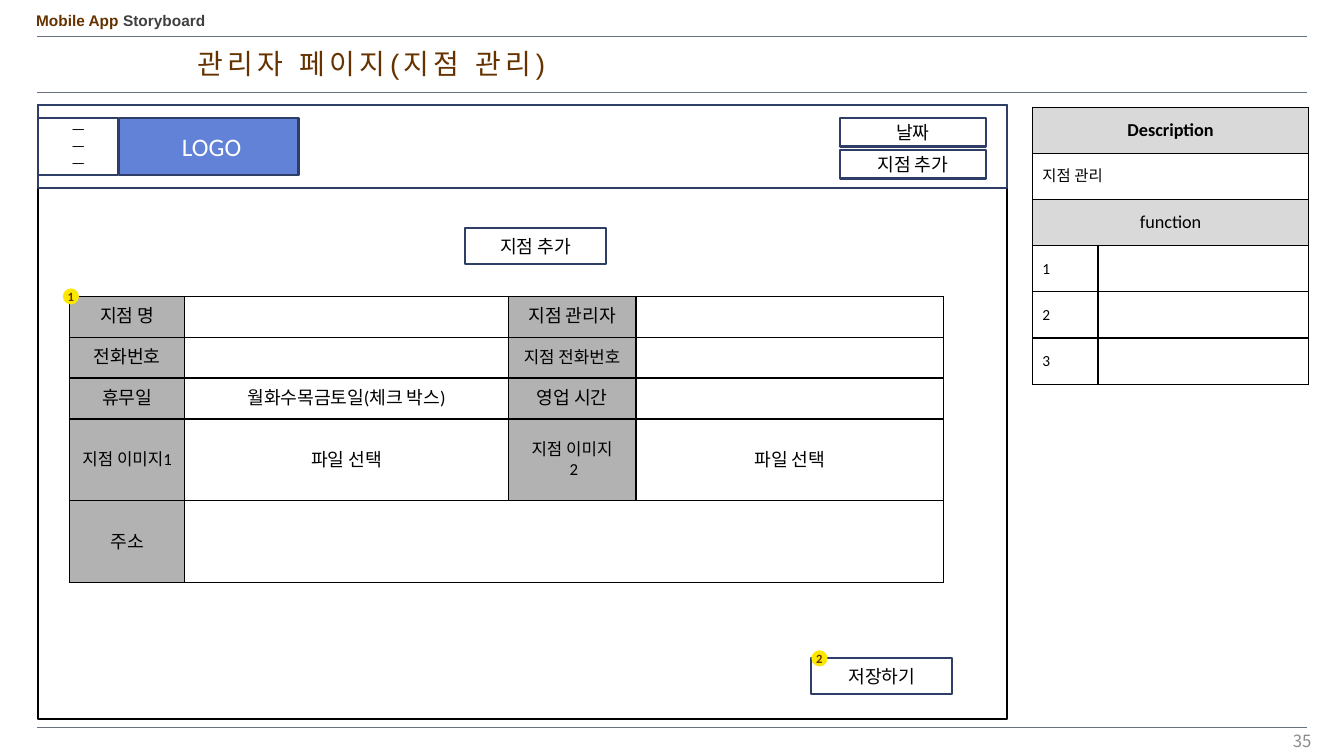
from dataclasses import dataclass
from typing import Any, NamedTuple

from lxml.etree import SubElement
from pptx import Presentation
from pptx.dml.color import RGBColor
from pptx.enum.shapes import MSO_CONNECTOR, MSO_SHAPE
from pptx.enum.text import MSO_ANCHOR as Anchor, MSO_AUTO_SIZE as AutoSize, PP_ALIGN as Align
from pptx.oxml.ns import qn
from pptx.util import Pt


@dataclass(frozen=True)
class Theme:
    body_font: str = "Calibri"
    head_font: str = "Arial"
    number_font: str = "Noto Sans CJK KR"
    black: str = "000000"
    white: str = "FFFFFF"
    brown: str = "663300"
    charcoal: str = "404040"
    page_gray: str = "8C8C8C"
    rule: str = "68727E"
    navy: str = "2E3E67"
    logo_blue: str = "6182D6"
    badge_yellow: str = "FCE700"
    label_gray: str = "B2B2B2"
    heading_gray: str = "D9D9D9"
    title_size: float = 20
    logo_size: float = 18
    text_size: float = 13
    small_size: float = 12
    note_size: float = 11
    menu_size: float = 10
    badge_size: float = 9


THEME = Theme()


class Box(NamedTuple):
    left: float
    top: float
    width: float
    height: float


@dataclass(frozen=True)
class Style:
    size: float = THEME.text_size
    color: str = THEME.black
    font: str = THEME.body_font
    bold: bool = False
    align: Any = Align.CENTER
    spacing: int = 0


@dataclass(frozen=True)
class Panel:
    box: Box
    text: str = ""
    style: Style = Style()
    fill: str = THEME.white
    outline: str = THEME.navy


@dataclass(frozen=True)
class Badge:
    left: float
    top: float
    number: str


@dataclass(frozen=True)
class Cell:
    text: str = ""
    style: Style = Style()
    fill: str = THEME.white
    span: int = 1


@dataclass(frozen=True)
class Grid:
    box: Box
    columns: tuple[float, ...]
    rows: tuple[float, ...]
    cells: list[list[Cell]]


def apply(target: Any, values: dict[str, Any]) -> None:
    for name, value in values.items():
        setattr(target, name, value)


def write_run(paragraph: Any, text: str, style: Style) -> None:
    run = paragraph.add_run()
    run.text = text
    apply(run.font, {"size": Pt(style.size), "name": style.font, "bold": style.bold})
    run.font.color.rgb = RGBColor.from_string(style.color)
    properties = run.font._element
    SubElement(properties, qn("a:ea")).set("typeface", style.font)
    if style.spacing:
        properties.set("spc", str(style.spacing * 100))


def write_lines(frame: Any, text: str, style: Style) -> None:
    for index, line in enumerate(text.split("\n")):
        paragraph = frame.add_paragraph() if index else frame.paragraphs[0]
        paragraph.alignment = style.align
        write_run(paragraph, line, style)


def paint(target: Any, color: str) -> None:
    target.fill.solid()
    target.fill.fore_color.rgb = RGBColor.from_string(color)


def place(box: Box) -> tuple[Any, ...]:
    return tuple(Pt(length) for length in box)


def draw_rule(slide: Any, top: float) -> None:
    rule = slide.shapes.add_connector(MSO_CONNECTOR.STRAIGHT, Pt(26.64), Pt(top), Pt(933.84), Pt(top))
    rule.line.width = Pt(0.25)
    rule.line.color.rgb = RGBColor.from_string(THEME.rule)
    SubElement(rule._element.spPr, qn("a:effectLst"))


def draw_panel(slide: Any, panel: Panel) -> None:
    shape = slide.shapes.add_shape(MSO_SHAPE.RECTANGLE, *place(panel.box))
    shape.shadow.inherit = False
    paint(shape, panel.fill)
    shape.line.width = Pt(1.5)
    shape.line.color.rgb = RGBColor.from_string(panel.outline)
    if panel.text:
        apply(shape.text_frame, {"vertical_anchor": Anchor.MIDDLE, "word_wrap": True})
        write_lines(shape.text_frame, panel.text, panel.style)


def draw_badge(slide: Any, badge: Badge) -> None:
    shape = slide.shapes.add_shape(MSO_SHAPE.OVAL, *place(Box(badge.left, badge.top, 11.5, 11.5)))
    shape.shadow.inherit = False
    paint(shape, THEME.badge_yellow)
    shape.line.fill.background()
    margins = {f"margin_{side}": 0 for side in ("left", "top", "right", "bottom")}
    apply(shape.text_frame, margins | {"vertical_anchor": Anchor.MIDDLE, "word_wrap": True})
    write_lines(shape.text_frame, badge.number, Style(THEME.badge_size, THEME.brown, bold=True))


def add_borders(cell: Any) -> None:
    properties = cell._tc.get_or_add_tcPr()
    for side in ("lnL", "lnR", "lnT", "lnB"):
        border = SubElement(properties, qn(f"a:{side}"), w=str(Pt(1)))
        SubElement(SubElement(border, qn("a:solidFill")), qn("a:srgbClr"), val=THEME.black)


def draw_grid(slide: Any, grid: Grid) -> Any:
    table = slide.shapes.add_table(len(grid.rows), len(grid.columns), *place(grid.box)).table
    apply(table, {"first_row": False, "horz_banding": False})
    for column, width in zip(table.columns, grid.columns):
        column.width = Pt(width)
    for row, height in zip(table.rows, grid.rows):
        row.height = Pt(height)
    for row_index, entries in enumerate(grid.cells):
        column_index = 0
        for entry in entries:
            cell = table.cell(row_index, column_index)
            last = column_index + entry.span - 1
            if entry.span > 1:
                cell.merge(table.cell(row_index, last))
            for covered in range(column_index, last + 1):
                add_borders(table.cell(row_index, covered))
            paint(cell, entry.fill)
            cell.vertical_anchor = Anchor.MIDDLE
            if entry.text:
                write_lines(cell.text_frame, entry.text, entry.style)
            column_index = last + 1
    return table


def draw_text(slide: Any, box: Box, parts: list[tuple[str, Style]], anchor: Any, leading: float) -> None:
    frame = slide.shapes.add_textbox(*place(box)).text_frame
    apply(frame, {"word_wrap": True, "vertical_anchor": anchor})
    apply(frame.paragraphs[0], {"alignment": parts[0][1].align, "line_spacing": leading})
    for text, style in parts:
        write_run(frame.paragraphs[0], text, style)


def label(text: str, size: float = THEME.text_size) -> Cell:
    return Cell(text, Style(size), THEME.label_gray)


NOTE = Style(THEME.note_size, align=Align.LEFT)
DESCRIPTION = Grid(
    Box(737.28, 76.5, 197.6, 198), (47, 150.6), (33,) * 6,
    [
        [Cell("Description", Style(bold=True), THEME.heading_gray, 2)],
        [Cell("지점 관리", NOTE, span=2)],
        [Cell("function", Style(), THEME.heading_gray, 2)],
        *([Cell(number, NOTE), Cell()] for number in "123"),
    ],
)
BRANCH_FORM = Grid(
    Box(49.68, 211.6, 624.4, 204.8), (82.3, 231, 91.3, 219.8), (29.25,) * 3 + (58.5,) * 2,
    [
        [label("지점 명"), Cell(), label("지점 관리자"), Cell()],
        [label("전화번호"), Cell(), label("지점 전화번호", THEME.small_size), Cell()],
        [label("휴무일"), Cell("월화수목금토일(체크 박스)"), label("영업 시간"), Cell()],
        [label("지점 이미지1", THEME.small_size), Cell("파일 선택"),
         label("지점 이미지\n 2", THEME.small_size), Cell("파일 선택")],
        [label("주소"), Cell(span=3)],
    ],
)
SCREEN = Panel(Box(27.4, 75.3, 692, 438.5), outline=THEME.black)
HEADER_PANELS = [
    Panel(Box(27.4, 75.3, 692, 59)),
    Panel(Box(85, 84.4, 128.2, 41), " LOGO", Style(THEME.logo_size, THEME.white), THEME.logo_blue),
    Panel(Box(27.4, 84.4, 56.9, 41), "ㅡ\nㅡ\nㅡ", Style(THEME.menu_size)),
    *(Panel(Box(599.8, top, 104.6, 20.3), text) for top, text in ((84.4, "날짜"), (107.3, "지점 추가"))),
    Panel(Box(332.3, 162.8, 100.4, 25.9), "지점 추가"),
]
SAVE_BUTTON = Panel(Box(579.6, 470, 100.4, 25.9), "저장하기")


def main() -> None:
    prs = Presentation()
    apply(prs, {"slide_width": Pt(960), "slide_height": Pt(540)})
    slide = prs.slides.add_slide(prs.slide_layouts[5])
    for top in (26.2, 66.2, 519.3):
        draw_rule(slide, top)
    heading = Style(THEME.note_size, THEME.brown, THEME.head_font, True, Align.LEFT)
    subheading = Style(THEME.note_size, THEME.charcoal, THEME.head_font, True, Align.LEFT)
    draw_text(slide, Box(18.7, 7.2, 257, 18), [("Mobile App ", heading), ("Storyboard", subheading)], Anchor.TOP, 0.8)

    title = slide.shapes.title
    apply(title, dict(zip(Box._fields, place(Box(133.9, 32.4, 345.6, 28.8)))))
    apply(title.text_frame, {"vertical_anchor": Anchor.TOP, "word_wrap": True, "auto_size": AutoSize.NONE})
    write_lines(title.text_frame, "관리자 페이지(지점 관리)",
                Style(THEME.title_size, THEME.brown, THEME.head_font, align=Align.LEFT, spacing=3))
    title.text_frame.paragraphs[0].line_spacing = 0.9

    page_style = Style(THEME.small_size, THEME.page_gray, THEME.number_font, align=Align.RIGHT)
    draw_text(slide, Box(737.3, 514.8, 206.6, 28.8), [("35", page_style)], Anchor.MIDDLE, 1.0)
    draw_panel(slide, SCREEN)
    description = draw_grid(slide, DESCRIPTION)
    description.cell(0, 0).text_frame.paragraphs[0].space_before = Pt(1)
    for panel in HEADER_PANELS:
        draw_panel(slide, panel)
    draw_grid(slide, BRANCH_FORM)
    draw_badge(slide, Badge(44.9, 206, "1"))
    draw_panel(slide, SAVE_BUTTON)
    draw_badge(slide, Badge(579.6, 464.5, "2"))
    prs.save("out.pptx")


if __name__ == "__main__":
    main()
